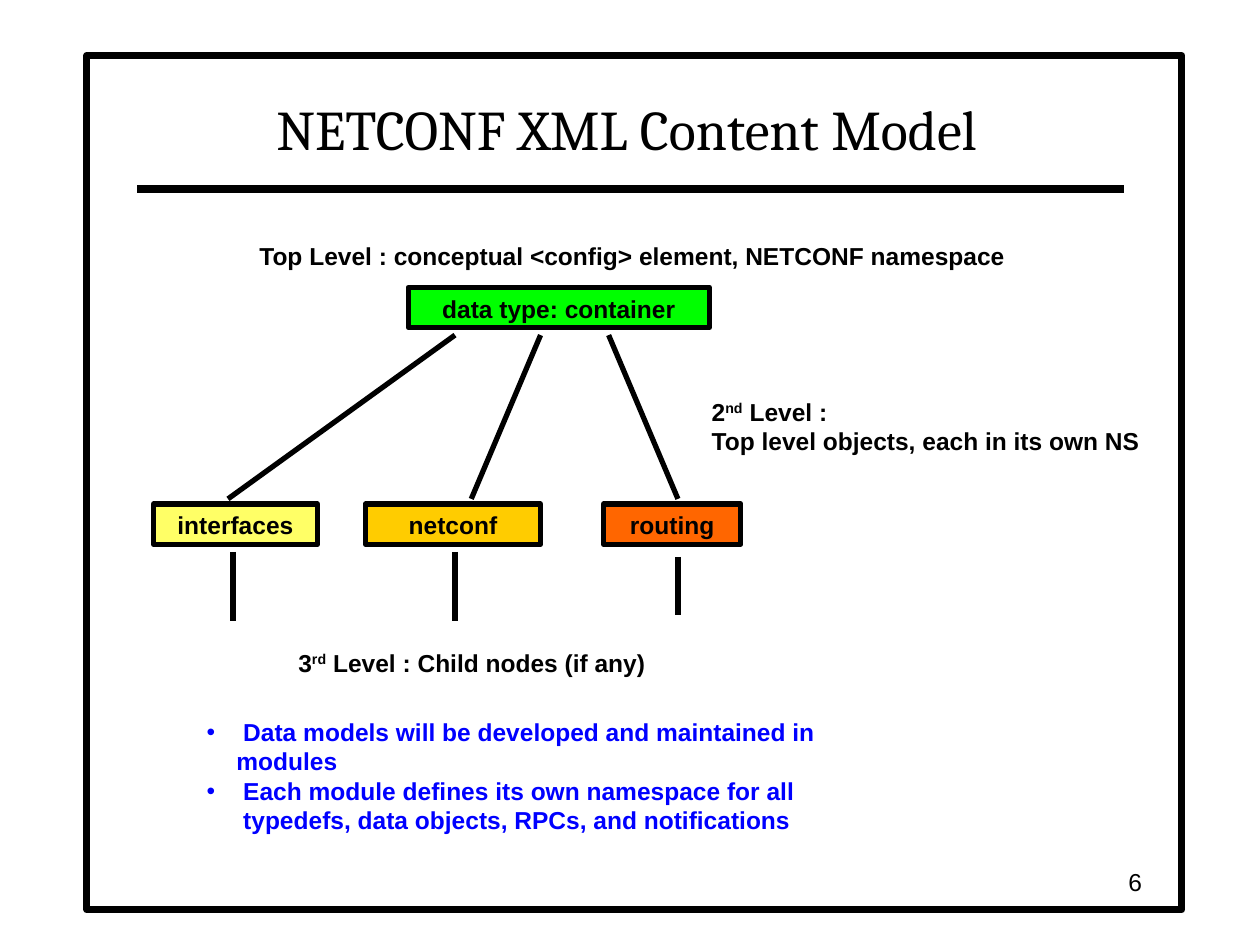
from pptx import Presentation
from pptx.dml.color import RGBColor as RGB
from pptx.enum.shapes import MSO_CONNECTOR as Conn, MSO_SHAPE as Geo
from pptx.enum.text import MSO_ANCHOR as Anchor, MSO_AUTO_SIZE as Auto, PP_ALIGN as Align
from pptx.oxml.ns import qn
from pptx.util import Pt
from lxml.etree import SubElement as Sub

BLACK, BLUE = "000000", "0000FF"


def tint(part, code):
    """Colour a fill or a font with a hex string."""
    if hasattr(part, "solid"):
        part.solid()
        part.fore_color.rgb = RGB.from_string(code)
    else:
        part.color.rgb = RGB.from_string(code)


def write(frame, *paras, size=14, font="Arial", color=BLACK, bold=True,
          align=Align.LEFT, anchor=Anchor.TOP, wrap=True):
    """Write paragraphs; ^..^ marks a superscript and | a line break."""
    frame.word_wrap = wrap
    frame.auto_size = Auto.NONE
    frame.vertical_anchor = anchor
    for i, text in enumerate(paras):
        para = frame.add_paragraph() if i else frame.paragraphs[0]
        para.alignment = align
        para.space_before = Pt(0)
        for n, line in enumerate(text.split("|")):
            if n:
                para.add_line_break()
            for k, bit in enumerate(line.split("^")):
                run = para.add_run()
                run.text = bit
                run.font.size, run.font.name, run.font.bold = Pt(size), font, bold
                tint(run.font, color)
                if k % 2:
                    run.font._element.set("baseline", "30000")


def place(shape, x, y, w, h):
    shape.left, shape.top, shape.width, shape.height = map(Pt, (x, y, w, h))


def box(slide, x, y, w, h, fill, width=3):
    shape = slide.shapes.add_shape(Geo.RECTANGLE, Pt(x), Pt(y), Pt(w), Pt(h))
    shape.shadow.inherit = False
    tint(shape.fill, fill)
    tint(shape.line, BLACK)
    shape.line.width = Pt(width)
    return shape


def node(slide, text, x, y, w, fill):
    write(box(slide, x, y, w, 23, fill).text_frame, text, align=Align.CENTER)


def label(slide, text, x, y, w, h, **fmt):
    shape = slide.shapes.add_textbox(Pt(x), Pt(y), Pt(w), Pt(h))
    write(shape.text_frame, text, **fmt)


def line(slide, x1, y1, x2, y2, width=3):
    link = slide.shapes.add_connector(Conn.STRAIGHT, Pt(x1), Pt(y1), Pt(x2), Pt(y2))
    tint(link.line, BLACK)
    link.line.width = Pt(width)
    Sub(link._element.spPr, qn("a:effectLst"))


def dot(para, color, indent):
    """Give a paragraph a coloured bullet and a hanging indent."""
    props = para._p.get_or_add_pPr()
    props.set("marL", str(Pt(indent)))
    props.set("indent", str(-Pt(indent)))
    Sub(Sub(props, qn("a:buClr")), qn("a:srgbClr")).set("val", color)
    Sub(props, qn("a:buChar")).set("char", "•")


def main():
    deck = Presentation()
    deck.slide_width, deck.slide_height = Pt(720), Pt(540)
    slide = deck.slides.add_slide(deck.slide_layouts[1])
    title, body = slide.placeholders

    # Border, title and rule
    frame = box(slide, 49.7, 31.7, 625.7, 488.2, "FFFFFF", 4)
    slide.shapes._spTree.insert(2, frame._element)
    line(slide, 78.5, 108, 642.2, 108, 4.5)
    place(title, 77.8, 41.8, 560.9, 54)
    write(title.text_frame, "NETCONF XML Content Model", size=32, font="Cambria",
          bold=False, align=Align.CENTER, anchor=Anchor.BOTTOM)

    # Tree: root, then each child with its branch and stem
    node(slide, "data type: container", 233.3, 164.2, 172.1, "00FF00")
    kids = [
        ("interfaces", 87.8, 93.6, "FFFF66", (260, 130.3), (133.2, 315.4, 355)),
        ("netconf", 208.8, 100.1, "FFCC00", (308.9, 269.3), (260, 315.4, 355)),
        ("routing", 344.9, 78.5, "FF6600", (347.8, 387.4), (387.4, 318.2, 351.4)),
    ]
    for name, x, w, fill, (start, end), (stem, top, foot) in kids:
        node(slide, name, x, 288, w, fill)
        line(slide, start, 191.5, end, 285.1)
        line(slide, stem, top, stem, foot)

    # Level labels
    label(slide, "Top Level : conceptual <config> element, NETCONF namespace",
          141.1, 133.9, 442, 23, wrap=False)
    label(slide, "2^nd^ Level : |Top level objects, each in its own NS",
          399.6, 223.2, 260, 39, wrap=False)
    label(slide, "3^rd^ Level : Child nodes (if any)", 163.4, 366.5, 212.4, 23, wrap=False)

    # Notes on modules
    place(body, 110.9, 406.1, 411.8, 75)
    write(body.text_frame,
          " Data models will be developed and maintained in modules",
          " Each module defines its own namespace for all"
          "| typedefs, data objects, RPCs, and notifications", color=BLUE)
    for para in body.text_frame.paragraphs:
        dot(para, BLUE, 17)

    # Page number
    label(slide, "6", 509.8, 491.8, 149.8, 23.8, bold=False,
          align=Align.RIGHT, anchor=Anchor.MIDDLE)
    deck.save("out.pptx")


if __name__ == "__main__":
    main()
